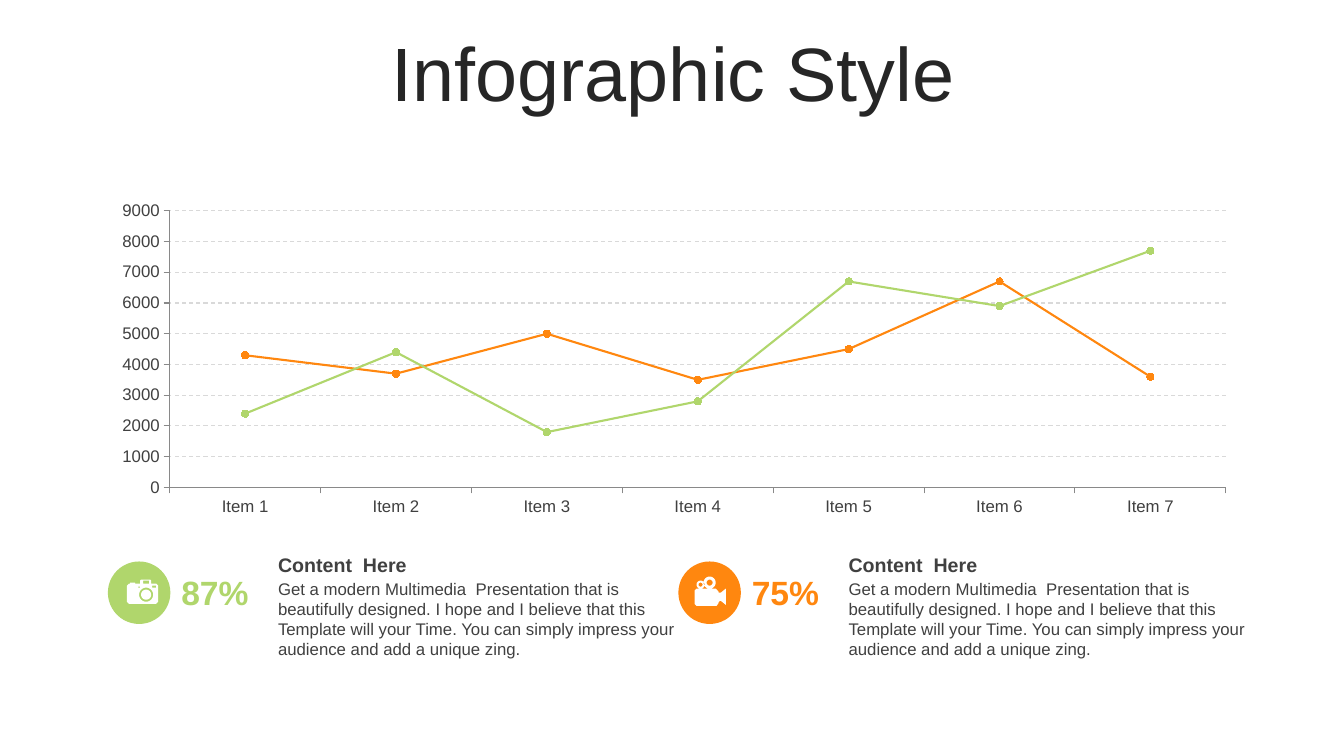
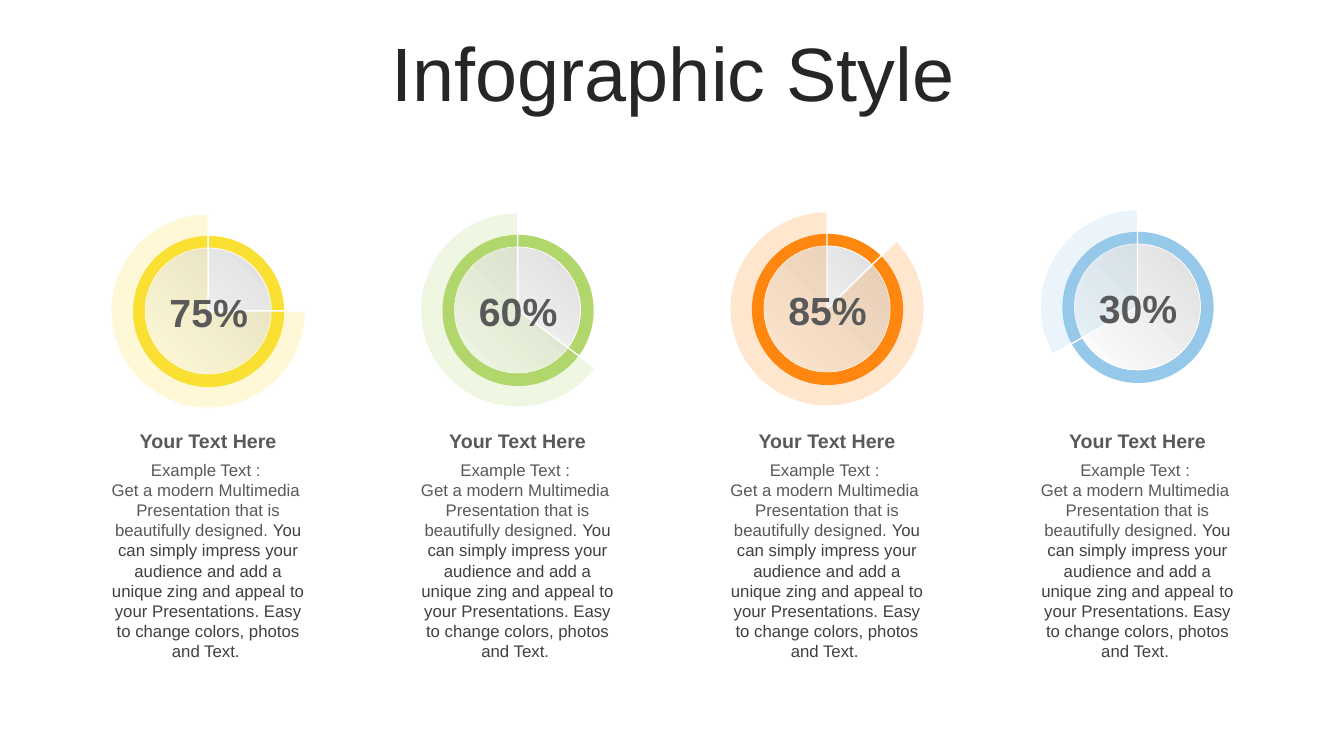
from math import cos, sin, tau

from lxml import etree
from pptx import Presentation
from pptx.chart.data import CategoryChartData
from pptx.dml.color import RGBColor
from pptx.enum.chart import XL_CHART_TYPE as ChartType, XL_MARKER_STYLE as Marker
from pptx.enum.chart import XL_TICK_MARK as TickMark
from pptx.enum.dml import MSO_LINE
from pptx.enum.shapes import MSO_SHAPE as Preset
from pptx.enum.text import MSO_ANCHOR as Anchor, MSO_AUTO_SIZE as AutoSize, PP_ALIGN as Align
from pptx.oxml.ns import qn
from pptx.util import Emu, Pt

PX = 9144  # EMU in one px, 100 px to the inch
FONT = "Arial"
INK = RGBColor(0x26, 0x26, 0x26)
DARK = RGBColor(0x40, 0x40, 0x40)
GREY = RGBColor(0x59, 0x59, 0x59)
AXIS = RGBColor(0x89, 0x89, 0x89)
GRID = RGBColor(0xD9, 0xD9, 0xD9)
SHADE = RGBColor(0xDE, 0xDE, 0xDE)
WHITE = RGBColor(0xFF, 0xFF, 0xFF)
YELLOW = RGBColor(0xFB, 0xE0, 0x34)
GREEN = RGBColor(0xB0, 0xD6, 0x6C)
ORANGE = RGBColor(0xFF, 0x87, 0x0F)
BLUE = RGBColor(0x96, 0xC8, 0xE9)


def write(shape, paragraphs, size, color, bold=False, align=Align.LEFT, anchor=Anchor.TOP,
          auto_size=AutoSize.SHAPE_TO_FIT_TEXT):
    """Fill a shape with paragraphs, each a list of (text, own color or None) runs."""
    frame = shape.text_frame
    frame.word_wrap = True
    frame.auto_size = auto_size
    frame.vertical_anchor = anchor
    for index, runs in enumerate(paragraphs):
        paragraph = frame.add_paragraph() if index else frame.paragraphs[0]
        paragraph.alignment = align
        for text, run_color in runs:
            run = paragraph.add_run()
            run.text = text
            run.font.name = FONT
            run.font.size = Pt(size)
            run.font.bold = bold
            run.font.color.rgb = run_color or color


def add_preset(slide, preset, box, color, line_color=None, line_width=1):
    shape = slide.shapes.add_shape(preset, *[Emu(n * PX) for n in box])
    shape.shadow.inherit = False
    shape.fill.solid()
    shape.fill.fore_color.rgb = color
    if line_color is None:
        shape.line.fill.background()
    else:
        shape.line.color.rgb = line_color
        shape.line.width = Pt(line_width)
    return shape


# Slides with their shared title
presentation = Presentation()
presentation.slide_width = Emu(12192000)
presentation.slide_height = Emu(750 * PX)
slides = []
for _ in range(2):
    slide = presentation.slides.add_slide(presentation.slide_layouts[5])
    title = slide.shapes.title
    title.left, title.top, title.width, title.height = [Emu(n * PX) for n in (35, 37, 1266, 79)]
    write(title, [[("Infographic Style", None)]], 54, INK, align=Align.CENTER,
          anchor=Anchor.MIDDLE, auto_size=AutoSize.NONE)
    title.text_frame.paragraphs[0].line_spacing = 0.9
    slides.append(slide)
chart_slide, percent_slide = slides

# Slide 1: line chart
data = CategoryChartData()
data.categories = [f"Item {number}" for number in range(1, 8)]
data.add_series("Series 1", (4300, 3700, 5000, 3500, 4500, 6700, 3600))
data.add_series("Series 2", (2400, 4400, 1800, 2800, 6700, 5900, 7700))
chart = chart_slide.shapes.add_chart(
    ChartType.LINE_MARKERS, *[Emu(n * PX) for n in (100, 193, 1139, 323)], data).chart
chart.has_legend = False
chart.has_title = False
chart.font.name = FONT
chart.font.size = Pt(18)
chart.plots[0].vary_by_categories = False
for series, color in zip(chart.plots[0].series, (ORANGE, GREEN)):
    series.smooth = False
    series.format.line.color.rgb = color
    series.format.line.width = Pt(1.5)
    series.marker.style = Marker.CIRCLE
    series.marker.size = 5
    series.marker.format.fill.solid()
    series.marker.format.fill.fore_color.rgb = color
    series.marker.format.line.color.rgb = color
for axis in (chart.category_axis, chart.value_axis):
    axis.major_tick_mark = TickMark.OUTSIDE
    axis.minor_tick_mark = TickMark.NONE
    axis.tick_labels.font.name = FONT
    axis.tick_labels.font.size = Pt(12)
    axis.tick_labels.font.color.rgb = DARK
    axis.format.line.color.rgb = AXIS
    axis.format.line.width = Pt(0.75)
value_axis = chart.value_axis
value_axis.minimum_scale, value_axis.maximum_scale, value_axis.major_unit = 0, 9000, 1000
value_axis.has_major_gridlines = True
grid_line = value_axis.major_gridlines.format.line
grid_line.color.rgb = GRID
grid_line.width = Pt(0.75)
grid_line.dash_style = MSO_LINE.DASH

# Fixed inner plot area
plot_area = next(chart.element.iter(qn("c:plotArea")))
for old_layout in plot_area.findall(qn("c:layout")):
    plot_area.remove(old_layout)
layout = etree.Element(qn("c:layout"))
plot_area.insert(0, layout)
manual = etree.SubElement(layout, qn("c:manualLayout"))
for tag, value in (("layoutTarget", "inner"), ("xMode", "edge"), ("yMode", "edge"),
                   ("x", "0.06"), ("y", "0.05"), ("w", "0.92"), ("h", "0.85")):
    etree.SubElement(manual, qn(f"c:{tag}")).set("val", value)

# Icons: outlines as points, circles as (center x, center y, radius)
camera_outlines = [
    [(128, 579), (129, 579), (129, 578), (134, 578), (134, 579), (139, 579), (139, 576),
     (140, 575), (149, 575), (150, 576), (150, 579), (155, 579), (157, 581), (157, 597),
     (155, 599), (128, 599), (126, 597), (126, 581)],
    [(137, 582), (139, 582), (139, 583), (137, 583)],
    [(151, 581), (155, 581), (155, 583), (151, 583)],
    [(142, 576), (148, 576), (148, 579), (142, 579)],
]
camera_circles = [(145, 590, 7), (145, 590, 5)]
video_outlines = [
    [(691, 584), (710, 584), (713, 587), (713, 588), (715, 588), (720, 584), (720, 600),
     (715, 596), (713, 597), (713, 598), (711, 601), (691, 601), (689, 599), (689, 586)],
]
video_circles = [(704, 578, 6), (704, 578, 3), (695, 580, 4), (695, 580, 2)]

# Two legend entries under the chart
entry_text = ("Get a modern Multimedia  Presentation that is beautifully designed. "
              "I hope and I believe that this Template will your Time. "
              "You can simply impress your audience and add a unique zing.")
entries = [(107, "87%", GREEN, camera_outlines, camera_circles),
           (673, "75%", ORANGE, video_outlines, video_circles)]
for left, percent, color, outlines, circles in entries:
    for box, text, size, text_color, bold, anchor in (
            ((left + 159, 543, 432, 34), "Content  Here", 14, DARK, True, Anchor.MIDDLE),
            ((left + 159, 569, 432, 91), entry_text, 12, DARK, False, Anchor.TOP),
            ((left + 63, 562, 88, 50), percent, 24, color, True, Anchor.MIDDLE)):
        text_box = chart_slide.shapes.add_textbox(*[Emu(n * PX) for n in box])
        write(text_box, [[(text, None)]], size, text_color, bold=bold, anchor=anchor)
    add_preset(chart_slide, Preset.OVAL, (left, 557, 62, 62), color)

    rounds = [[(x + r * cos(tau * step / 32), y + r * sin(tau * step / 32)) for step in range(32)]
              for x, y, r in circles]
    contours = [[(x * PX, y * PX) for x, y in contour] for contour in outlines + rounds]
    builder = chart_slide.shapes.build_freeform(*[round(n) for n in contours[0][0]])
    for index, contour in enumerate(contours):
        if index:
            builder.move_to(*contour[0])
        builder.add_line_segments(contour[1:], close=True)
    icon = builder.convert_to_shape()
    icon.shadow.inherit = False
    icon.fill.solid()
    icon.fill.fore_color.rgb = WHITE
    icon.line.fill.background()

# Slide 2: four percentage dials with captions
caption = [
    [("Example Text : ", None)],
    [("Get a modern Multimedia  Presentation that is beautifully designed. ", None),
     ("You can simply impress your audience and add a unique zing and appeal to your "
      "Presentations. Easy to change colors, photos and Text. ", DARK)],
]
# Percentage, color and start angle of the sector, which ends at the top
dials = [("75%", YELLOW, 0), ("60%", GREEN, 36.9), ("85%", ORANGE, 315.6), ("30%", BLUE, 150.8)]
for column, (percent, color, start_angle) in enumerate(dials):
    # The four columns span 922 px and rise 4 px in three equal steps
    left, top = 132 + 922 * column // 3, 234 - 4 * column // 3
    add_preset(percent_slide, Preset.OVAL, (left, top, 150, 150), color)

    disc = add_preset(percent_slide, Preset.OVAL, (left + 12, top + 12, 125, 125), WHITE, WHITE, 0.5)
    disc.fill.gradient()
    disc.fill.gradient_angle = 225
    for stop, stop_color in zip(disc.fill.gradient_stops, (SHADE, WHITE)):
        stop.color.rgb = stop_color

    sector = add_preset(percent_slide, Preset.PIE, (left - 22, top - 22, 193, 193), color, WHITE)
    sector.adjustments[0] = start_angle * 0.6
    sector.adjustments[1] = 270 * 0.6
    fill_color = sector.fill._xPr.find(qn("a:solidFill"))[0]
    etree.SubElement(fill_color, qn("a:alpha")).set("val", "20000")

    for box, paragraphs, size, bold in (
            ((left + 21, top + 47, 108, 57), [[(percent, None)]], 28, True),
            ((left - 33, 421, 215, 34), [[("Your Text Here", None)]], 14, True),
            ((left - 33, 451, 215, 212), caption, 12, False)):
        text_box = percent_slide.shapes.add_textbox(*[Emu(n * PX) for n in box])
        write(text_box, paragraphs, size, GREY, bold=bold, align=Align.CENTER)

presentation.save("out.pptx")
